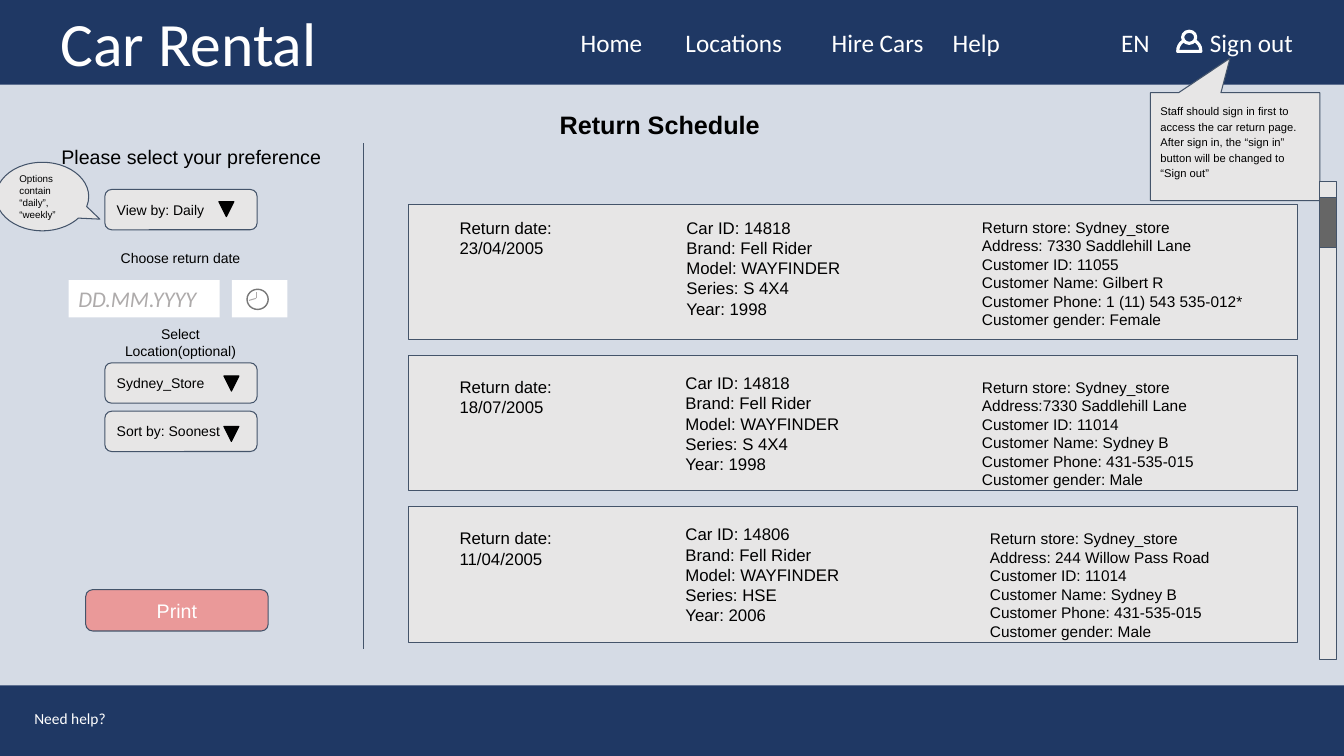
from lxml.etree import SubElement
from pptx import Presentation
from pptx.dml.color import RGBColor
from pptx.enum.shapes import MSO_CONNECTOR, MSO_SHAPE
from pptx.enum.text import MSO_ANCHOR, MSO_AUTO_SIZE, PP_ALIGN
from pptx.oxml.ns import qn
from pptx.util import Inches, Pt

THEME = {
    "color": {name: RGBColor.from_string(code) for name, code in {
        "navy": "1F3864", "page": "D5DBE5", "panel": "E7E6E6", "edge": "44546A",
        "white": "FFFFFF", "black": "000000", "hint": "AEABAB", "clock": "787878",
        "print": "EA9999", "thumb": "666666"}.items()},
    "size": {"brand": 44, "title": 18, "menu": 18, "input": 16, "label": 14, "car": 12,
             "customer": 11, "footer": 11, "control": 10, "note": 8, "bubble": 7},
    "body": "Arial", "menu": "Calibri",
}
COLOR = THEME["color"]
WIDE = (0.1, 0.1, 0.1, 0.1)
TIGHT = (0.1, 0.05, 0.1, 0.05)


def write(box, lines, size, color="black", font="body", inset=WIDE,
          anchor=MSO_ANCHOR.TOP, align=PP_ALIGN.LEFT, spacing=1.0, **style):
    """Fill a box with one paragraph per line."""
    frame = box.text_frame
    sides = ("margin_left", "margin_top", "margin_right", "margin_bottom")
    layout = {"word_wrap": True, "auto_size": MSO_AUTO_SIZE.NONE, "vertical_anchor": anchor}
    layout.update(zip(sides, map(Inches, inset)))
    for name, value in layout.items():
        setattr(frame, name, value)
    letters = {"size": Pt(THEME["size"][size]), "name": THEME[font], **style}
    for index, line in enumerate(lines):
        para = frame.add_paragraph() if index else frame.paragraphs[0]
        para.alignment, para.line_spacing = align, spacing
        span = para.add_run()
        span.text = line
        for name, value in letters.items():
            setattr(span.font, name, value)
        span.font.color.rgb = COLOR[color]


def draw(kind, place, fill, line=None, weight=0.75, adjust=()):
    """Add a flat preset shape."""
    shape = slide.shapes.add_shape(kind, *map(Inches, place))
    shape.shadow.inherit = False
    shape.fill.solid()
    shape.fill.fore_color.rgb = COLOR[fill]
    if line:
        shape.line.color.rgb = COLOR[line]
        shape.line.width = Pt(weight)
    else:
        shape.line.fill.background()
    for index, value in enumerate(adjust):
        shape.adjustments[index] = value
    return shape


deck = Presentation()
deck.slide_width, deck.slide_height = Inches(13.33), Inches(7.5)
slide = deck.slides.add_slide(deck.slide_layouts[5])
slide.background.fill.solid()
slide.background.fill.fore_color.rgb = COLOR["page"]

# Page title
title = slide.shapes.title
title.left, title.top, title.width, title.height = map(Inches, (5.45, 0.98, 2.44, 0.58))
write(title, ["Return Schedule"], "title", bold=True)

# Header and footer bands
header = draw(MSO_SHAPE.RECTANGLE, (0, 0, 13.33, 0.84), "navy")
write(header, ["Car Rental"], "brand", "white", "menu", (0.6, 0.05, 0.1, 0.05))
footer = draw(MSO_SHAPE.RECTANGLE, (0, 6.8, 13.33, 0.71), "navy")
write(footer, ["Need help?"], "footer", "white", "menu", (0.34, 0.23, 0.1, 0.05))

# Menu: label, left, width, left inset
for label, left, width, indent in [
        ("Home", 5.66, 1.22, 0.1), ("Locations", 6.7, 1.22, 0.1), ("Hire Cars", 8.15, 1.22, 0.1),
        ("Help", 9.35, 1.22, 0.1), ("EN", 10.57, 0.94, 0.55), ("Sign out", 11.63, 1.46, 0.37)]:
    box = slide.shapes.add_textbox(*map(Inches, (left, 0.22, width, 0.4)))
    write(box, [label], "menu", "white", "menu", (indent, 0.05, 0, 0.05))

# User icon
shoulders = draw(MSO_SHAPE.CHORD, (11.68, 0.39, 0.23, 0.23), "navy", "white", 2.25, (27, 138.07))
shoulders.rotation = 132.5
draw(MSO_SHAPE.OVAL, (11.73, 0.31, 0.13, 0.12), "navy", "white", 2.25)

# Sign-in note
note = draw(MSO_SHAPE.ROUNDED_RECTANGULAR_CALLOUT, (11.41, 0.92, 1.68, 1.07),
            "panel", "edge", adjust=(-0.03, -0.82, 0))
write(note, ["Staff should sign in first to access the car return page.",
             "After sign in, the “sign in” button will be changed to “Sign out”"],
      "note", spacing=1.15)

# Preference labels
for label, place, size, align in [
        ("Please select your preference", (0.51, 1.34, 3.05, 0.68), "label", PP_ALIGN.LEFT),
        ("Choose return date", (1.06, 2.38, 1.46, 0.4), "control", PP_ALIGN.CENTER),
        ("Select Location(optional)", (1.06, 3.13, 1.46, 0.4), "control", PP_ALIGN.CENTER)]:
    box = slide.shapes.add_textbox(*map(Inches, place))
    write(box, [label], size, align=align)

# Drop-downs: label, top, arrow left, arrow top
for label, top, arrow_left, arrow_top in [("View by: Daily", 1.88, 2.17, 2.0),
                                          ("Sydney_Store", 3.6, 2.22, 3.73),
                                          ("Sort by: Soonest", 4.08, 2.22, 4.23)]:
    dropdown = draw(MSO_SHAPE.ROUNDED_RECTANGLE, (1.04, top, 1.51, 0.4), "panel", "edge")
    write(dropdown, [label], "control", anchor=MSO_ANCHOR.MIDDLE)
    draw(MSO_SHAPE.FLOWCHART_MERGE, (arrow_left, arrow_top, 0.15, 0.15), "black", "black")

bubble = draw(MSO_SHAPE.OVAL_CALLOUT, (-0.04, 1.61, 0.92, 0.68), "panel", "edge",
              adjust=(0.62, 0.33))
write(bubble, ["Options contain “daily”, “weekly”"], "bubble", anchor=MSO_ANCHOR.MIDDLE)

# Date field and clock button
date_field = draw(MSO_SHAPE.RECTANGLE, (0.68, 2.78, 1.5, 0.37), "white")
write(date_field, ["DD.MM.YYYY"], "input", "hint", "menu", TIGHT, italic=True)
draw(MSO_SHAPE.RECTANGLE, (2.3, 2.78, 0.55, 0.37), "white")
draw(MSO_SHAPE.OVAL, (2.45, 2.87, 0.21, 0.2), "white", "clock", 1)

print_button = draw(MSO_SHAPE.ROUNDED_RECTANGLE, (0.85, 5.85, 1.81, 0.41), "print", "edge")
write(print_button, ["Print"], "label", "white", anchor=MSO_ANCHOR.MIDDLE,
      align=PP_ALIGN.CENTER)

# Clock hands and panel divider
for ends, color in [((2.54, 2.96, 2.47, 2.98), "hint"), ((2.54, 2.9, 2.54, 2.96), "hint"),
                    ((3.61, 1.42, 3.61, 6.44), "edge")]:
    rule = slide.shapes.add_connector(MSO_CONNECTOR.STRAIGHT, *map(Inches, ends))
    rule.line.color.rgb = COLOR[color]
    rule.line.width = Pt(0.75)
    SubElement(rule._element.spPr, qn("a:effectLst"))

# Return cards: each column holds its left, top and lines
CAR = ["Brand: Fell Rider", "Model: WAYFINDER"]
STORE = "Return store: Sydney_store"
SYDNEY = ["Customer ID: 11014", "Customer Name: Sydney B",
          "Customer Phone: 431-535-015", "Customer gender: Male"]
GILBERT = ["Customer ID: 11055", "Customer Name: Gilbert R",
           "Customer Phone: 1 (11) 543 535-012*", "Customer gender: Female"]
cards = [
    [(4.46, 2.06, ["Return date:", "23/04/2005"]),
     (6.71, 2.06, ["Car ID: 14818", *CAR, "Series: S 4X4", "Year: 1998"]),
     (9.64, 2.06, [STORE, "Address: 7330 Saddlehill Lane", *GILBERT])],
    [(4.46, 3.64, ["Return date:", "18/07/2005"]),
     (6.7, 3.6, ["Car ID: 14818", *CAR, "Series: S 4X4", "Year: 1998"]),
     (9.64, 3.65, [STORE, "Address:7330 Saddlehill Lane", *SYDNEY])],
    [(4.46, 5.14, ["Return date:", "11/04/2005"]),
     (6.7, 5.1, ["Car ID: 14806", *CAR, "Series: HSE", "Year: 2006"]),
     (9.72, 5.15, [STORE, "Address: 244 Willow Pass Road", *SYDNEY])],
]
columns = [("car", 2.5, 1.04), ("car", 2.5, 1.04), ("customer", 3.05, 1.19)]
for row, card in enumerate(cards):
    draw(MSO_SHAPE.RECTANGLE, (4.05, 2.03 + 1.5 * row, 8.82, 1.34), "panel", "edge")
    for (left, top, lines), (size, width, height) in zip(card, columns):
        box = slide.shapes.add_textbox(*map(Inches, (left, top, width, height)))
        write(box, lines, size)

# Scroll bar
draw(MSO_SHAPE.RECTANGLE, (13.09, 1.8, 0.17, 4.74), "panel", "edge")
draw(MSO_SHAPE.RECTANGLE, (13.09, 1.96, 0.17, 0.5), "thumb", "edge")

deck.save("out.pptx")
